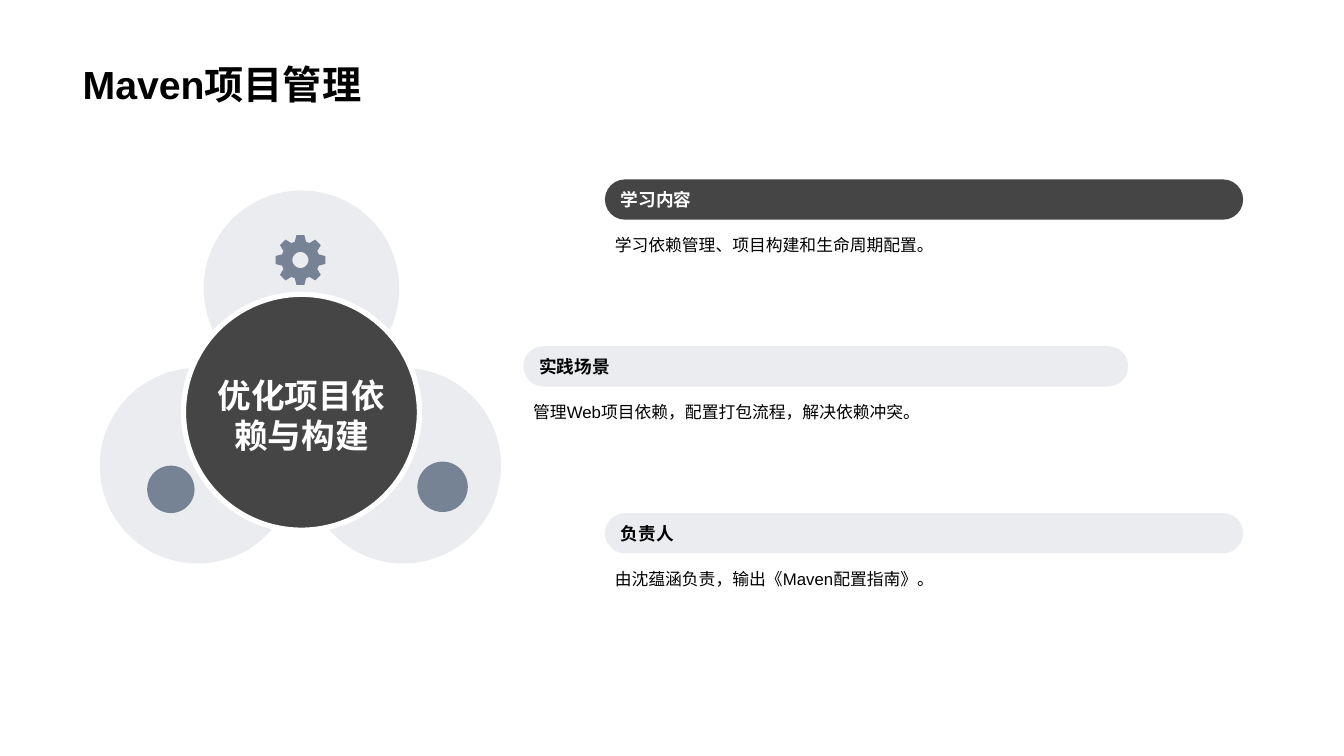
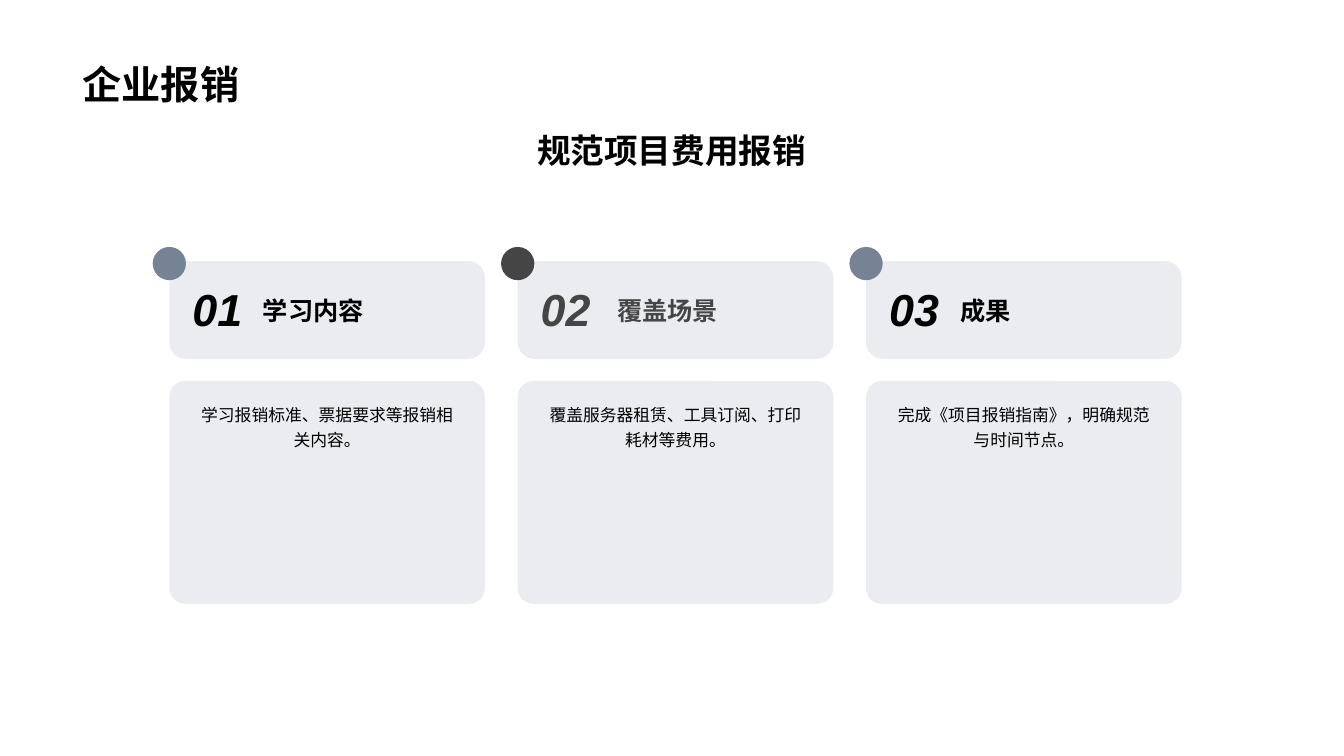
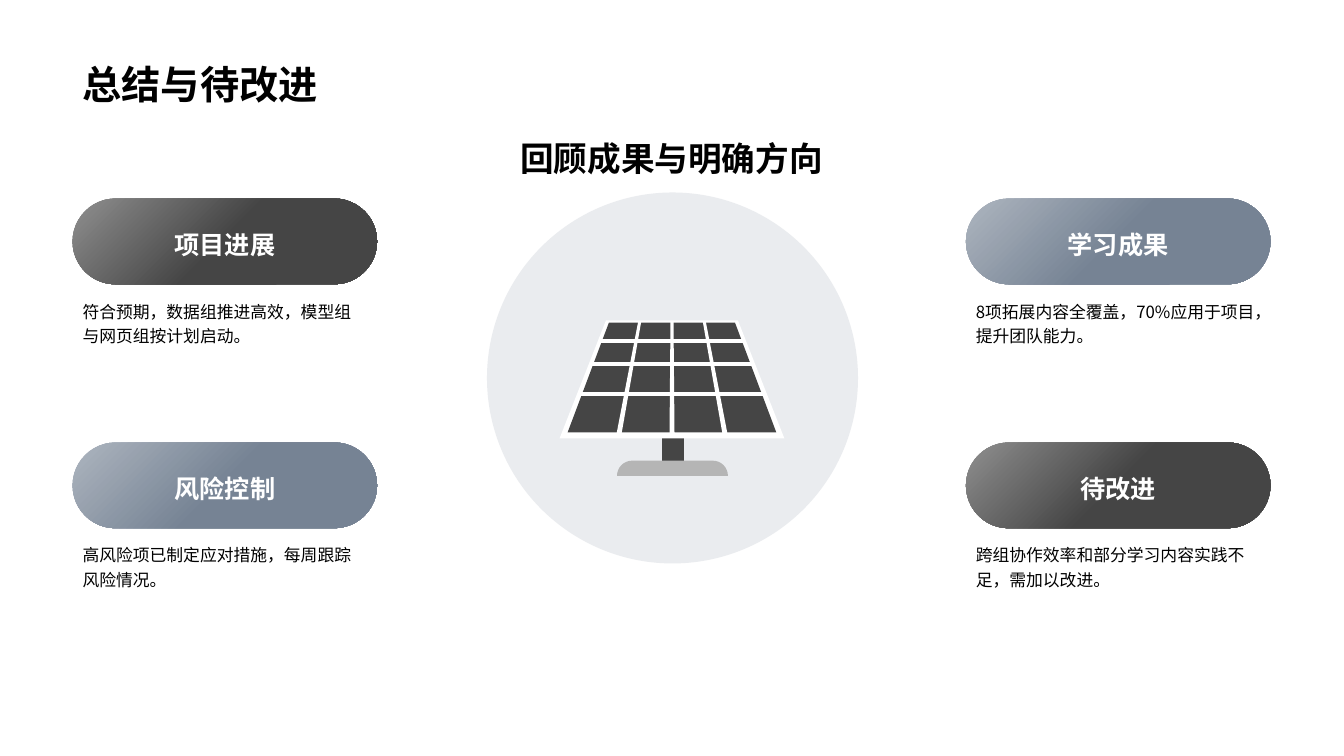
from math import cos, pi, radians, sin

from lxml import etree
from pptx import Presentation
from pptx.dml.color import RGBColor
from pptx.enum.shapes import MSO_SHAPE
from pptx.enum.text import MSO_ANCHOR, MSO_AUTO_SIZE, PP_ALIGN
from pptx.oxml.ns import qn
from pptx.util import Inches, Pt

OVAL, ROUNDED = MSO_SHAPE.OVAL, MSO_SHAPE.ROUNDED_RECTANGLE
LEFT, CENTER = PP_ALIGN.LEFT, PP_ALIGN.CENTER
TOP, MIDDLE, BOTTOM = MSO_ANCHOR.TOP, MSO_ANCHOR.MIDDLE, MSO_ANCHOR.BOTTOM

BLACK = RGBColor(0x00, 0x00, 0x00)
WHITE = RGBColor(0xFF, 0xFF, 0xFF)
DARK = RGBColor(0x45, 0x45, 0x45)
DARK_LIGHT = RGBColor(0x8F, 0x8F, 0x8F)
SLATE = RGBColor(0x76, 0x83, 0x94)
SLATE_LIGHT = RGBColor(0xAD, 0xB5, 0xBF)
FOOT_GRAY = RGBColor(0xB5, 0xB5, 0xB5)

LATIN_FONT, CHINESE_FONT = "Arial", "Noto Sans CJK SC"
MARGIN, CONTENT_WIDTH = 0.72, 11.88
PALE = 15  # opacity of the tinted areas, in percent


def paint(shape, color, opacity=100):
    """Give a shape a flat fill without line or shadow."""
    shape.shadow.inherit = False
    shape.line.fill.background()
    shape.fill.solid()
    shape.fill.fore_color.rgb = color
    if opacity < 100:
        color_node = shape.element.spPr.find(qn("a:solidFill"))[0]
        etree.SubElement(color_node, qn("a:alpha"), val=str(opacity * 1000))
    return shape


def write(shape, text, size, color=BLACK, bold=False, italic=False, align=LEFT,
          anchor=TOP, spacing=1.0, wrap=True, font=LATIN_FONT):
    frame = shape.text_frame
    frame.word_wrap = wrap
    frame.auto_size = MSO_AUTO_SIZE.NONE
    frame.vertical_anchor = anchor
    para = frame.paragraphs[0]
    para.alignment = align
    para.line_spacing = spacing
    span = para.add_run()
    span.text = text
    span.font.size = Pt(size)
    span.font.bold = bold
    span.font.italic = italic
    span.font.color.rgb = color
    span.font.name = font
    etree.SubElement(span.font._element, qn("a:ea"), typeface=CHINESE_FONT)


deck = Presentation()
deck.slide_width, deck.slide_height = Inches(13.33), Inches(7.5)

pages = []
for title in ("Maven项目管理", "企业报销", "总结与待改进"):
    page = deck.slides.add_slide(deck.slide_layouts[5])
    box = page.shapes.title
    box.left, box.top = Inches(MARGIN), Inches(0.14)
    box.width, box.height = Inches(CONTENT_WIDTH), Inches(0.98)
    write(box, title, 28, bold=True, anchor=BOTTOM)
    pages.append(page)
maven_page, expense_page, summary_page = pages

# Maven: three petals around a hub, three topics beside them
shapes = maven_page.shapes
PETAL = 1.94
for left, top in ((2.02, 1.89), (0.99, 3.65), (3.03, 3.65)):
    petal = shapes.add_shape(OVAL, Inches(left), Inches(top), Inches(PETAL), Inches(PETAL))
    paint(petal, SLATE, PALE)

GEAR_X, GEAR_Y, TEETH = 2.98, 2.58, 8
gear_polar = [
    (tooth * 360 / TEETH + offset, radius)
    for tooth in range(TEETH)
    for offset, radius in ((-17, 0.19), (-9, 0.25), (9, 0.25), (17, 0.19))
]
hole_polar = [(angle, 0.08) for angle in range(360, 0, -10)]
rim, hole = (
    [(Inches(GEAR_X + radius * cos(radians(angle))),
      Inches(GEAR_Y + radius * sin(radians(angle)))) for angle, radius in polar]
    for polar in (gear_polar, hole_polar)
)
builder = shapes.build_freeform(*rim[0], scale=1.0)
builder.add_line_segments(rim[1:], close=True)
builder.move_to(*hole[0])
builder.add_line_segments(hole[1:], close=True)
paint(builder.convert_to_shape(), SLATE)

for left, top, size in ((1.46, 4.62, 0.47), (4.14, 4.58, 0.5)):
    badge = shapes.add_shape(OVAL, Inches(left), Inches(top), Inches(size), Inches(size))
    paint(badge, SLATE)

hub = paint(shapes.add_shape(OVAL, Inches(1.82), Inches(2.92), Inches(2.34), Inches(2.34)), DARK)
hub.line.color.rgb = WHITE
hub.line.width = Pt(3.75)
box = shapes.add_textbox(Inches(2.02), Inches(3.61), Inches(PETAL), Inches(1.01))
write(box, "优化项目依赖与构建", 24, WHITE, bold=True, align=CENTER, anchor=MIDDLE)

topics = (
    ("学习内容", "学习依赖管理、项目构建和生命周期配置。", 6, 6.33, DARK, 100, WHITE),
    ("实践场景", "管理Web项目依赖，配置打包流程，解决依赖冲突。", 5.19, 6, SLATE, PALE, BLACK),
    ("负责人", "由沈蕴涵负责，输出《Maven配置指南》。", 6, 6.33, SLATE, PALE, BLACK),
)
for row, (heading, detail, left, width, fill, opacity, ink) in enumerate(topics):
    top = 1.78 + row * 1.655
    bar = shapes.add_shape(ROUNDED, Inches(left), Inches(top), Inches(width), Inches(0.4))
    bar.adjustments[0] = 0.5
    paint(bar, fill, opacity)
    write(bar, heading, 12.6, ink, bold=True, anchor=MIDDLE)
    box = shapes.add_textbox(Inches(left), Inches(top + 0.46), Inches(width), Inches(0.61))
    write(box, detail, 12, spacing=1.2)

# Expenses: three numbered cards
shapes = expense_page.shapes
box = shapes.add_textbox(Inches(MARGIN), Inches(1.24), Inches(CONTENT_WIDTH), Inches(0.5))
write(box, "规范项目费用报销", 24, bold=True, align=CENTER)

CARD_WIDTH, CARD_STEP, DOT = 3.13, 3.455, 0.33
cards = (
    ("学习内容", "学习报销标准、票据要求等报销相关内容。", 0.83, BLACK, SLATE),
    ("覆盖场景", "覆盖服务器租赁、工具订阅、打印耗材等费用。", 0.89, DARK, DARK),
    ("成果", "完成《项目报销指南》，明确规范与时间节点。", 0.84, BLACK, SLATE),
)
for column, (heading, detail, indent, ink, dot_color) in enumerate(cards):
    left = 1.68 + column * CARD_STEP
    for top, height, rounding in ((2.59, 0.97, 0.17), (3.78, 2.21, 0.07)):
        card = shapes.add_shape(ROUNDED, Inches(left), Inches(top),
                                Inches(CARD_WIDTH), Inches(height))
        card.adjustments[0] = rounding
        paint(card, SLATE, PALE)
    box = shapes.add_textbox(Inches(left + 0.13), Inches(2.75), Inches(0.7), Inches(0.64))
    write(box, f"{column + 1:02}", 32, ink, bold=True, italic=True, wrap=False)
    box = shapes.add_textbox(Inches(left + indent), Inches(2.59), Inches(2.11), Inches(0.97))
    write(box, heading, 18, ink, bold=True, anchor=MIDDLE)
    box = shapes.add_textbox(Inches(left + 0.14), Inches(3.93), Inches(2.85), Inches(1.95))
    write(box, detail, 12, align=CENTER, spacing=1.2)
    dot = shapes.add_shape(OVAL, Inches(left - DOT / 2), Inches(2.45), Inches(DOT), Inches(DOT))
    paint(dot, dot_color)

# Summary: solar panel in the middle, two topics on each side
shapes = summary_page.shapes
disc = shapes.add_shape(OVAL, Inches(4.83), Inches(1.91), Inches(3.68), Inches(3.68))
paint(disc, SLATE, PALE)

PANEL_X = 6.665
FOOT_RADIUS, FOOT_BOTTOM = 0.15, 4.72
foot = [
    (center + FOOT_RADIUS * cos(pi - step * pi / 16),
     FOOT_BOTTOM - FOOT_RADIUS * sin(pi - step * pi / 16))
    for center, steps in ((6.27, range(9)), (7.07, range(8, 17)))
    for step in steps
]
# Each bar: top centre, top half width, top, bottom centre, bottom half width, bottom
bars = [
    (6.675, 0.105, 4.14, 6.675, 0.105, 4.6, DARK),
    (PANEL_X, 0.655, 3.18, PANEL_X, 1.115, 4.35, WHITE),
    (PANEL_X, 0.625, 3.2, PANEL_X, 1.035, 4.29, DARK),
]
for side in (-1, 0, 1):
    bars.append((PANEL_X + side * 0.32, 0.015, 3.19, PANEL_X + side * 0.53, 0.025, 4.33, WHITE))
for top, half in ((3.36, 0.72), (3.59, 0.8), (3.89, 0.93)):
    bars.append((PANEL_X, half, top, PANEL_X, half, top + 0.04, WHITE))
outlines = [
    ([(x1 - half1, y1), (x1 + half1, y1), (x2 + half2, y2), (x2 - half2, y2)], color)
    for x1, half1, y1, x2, half2, y2, color in bars
]
outlines.insert(1, (foot, FOOT_GRAY))
for points, color in outlines:
    corners = [(Inches(x), Inches(y)) for x, y in points]
    builder = shapes.build_freeform(*corners[0], scale=1.0)
    builder.add_line_segments(corners[1:], close=True)
    paint(builder.convert_to_shape(), color)

box = shapes.add_textbox(Inches(MARGIN), Inches(1.24), Inches(CONTENT_WIDTH), Inches(0.54))
write(box, "回顾成果与明确方向", 24, bold=True, align=CENTER, spacing=1.2)

PILL_WIDTH = 3.02
dark_blend, slate_blend = (DARK_LIGHT, DARK), (SLATE_LIGHT, SLATE)
findings = (
    ("项目进展", "符合预期，数据组推进高效，模型组与网页组按计划启动。", dark_blend, LATIN_FONT),
    ("学习成果", "8项拓展内容全覆盖，70%应用于项目，提升团队能力。", slate_blend, CHINESE_FONT),
    ("风险控制", "高风险项已制定应对措施，每周跟踪风险情况。", slate_blend, LATIN_FONT),
    ("待改进", "跨组协作效率和部分学习内容实践不足，需加以改进。", dark_blend, LATIN_FONT),
)
for index, (heading, detail, blend, font) in enumerate(findings):
    row, column = divmod(index, 2)
    left = MARGIN + column * (CONTENT_WIDTH - PILL_WIDTH)
    top = 1.97 + row * 2.42
    pill = shapes.add_shape(ROUNDED, Inches(left), Inches(top), Inches(PILL_WIDTH), Inches(0.85))
    pill.adjustments[0] = 0.5
    paint(pill, blend[1])
    pill.fill.gradient()
    pill.fill.gradient_angle = 315
    for stop, position, color in zip(pill.fill.gradient_stops, (0, 0.5), blend):
        stop.position = position
        stop.color.rgb = color
    write(pill, heading, 18, WHITE, bold=True, align=CENTER, anchor=MIDDLE, spacing=1.2)
    box = shapes.add_textbox(Inches(left), Inches(top + 0.93), Inches(PILL_WIDTH), Inches(0.74))
    write(box, detail, 12, spacing=1.2, font=font)

deck.save("out.pptx")
